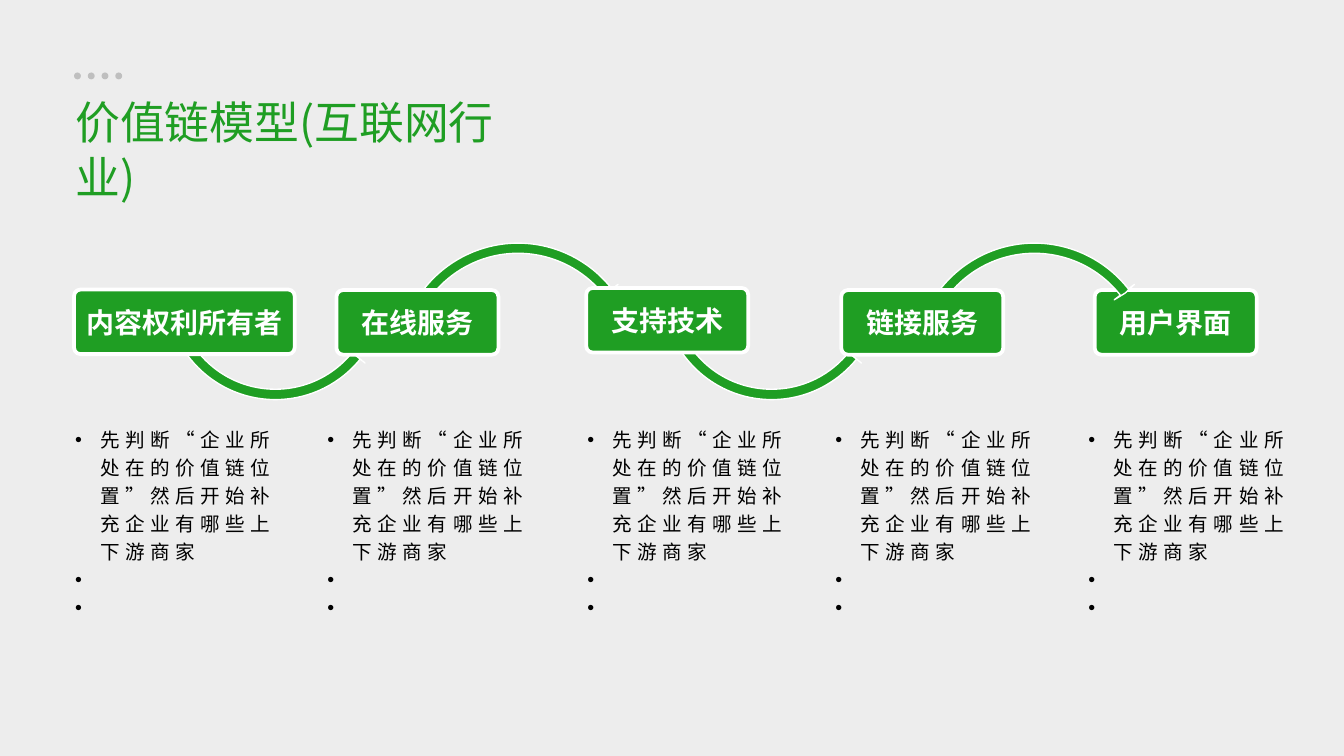
from lxml import etree
from pptx import Presentation
from pptx.dml.color import RGBColor
from pptx.enum.lang import MSO_LANGUAGE_ID
from pptx.enum.shapes import MSO_SHAPE
from pptx.enum.text import MSO_ANCHOR, PP_ALIGN
from pptx.oxml.ns import qn
from pptx.util import Cm, Pt

FONT = "Noto Sans CJK SC"
GREEN, WHITE, GREY = "1F9E23", "FFFFFF", "BFBFBF"


def add_filled(kind, box, fill, line_width=0, adjustments=()):
    """Add a preset shape with a flat fill and an optional white outline."""
    shape = slide.shapes.add_shape(kind, *[Cm(v) for v in box])
    shape.shadow.inherit = False
    shape.fill.solid()
    shape.fill.fore_color.rgb = RGBColor.from_string(fill)
    if line_width:
        shape.line.color.rgb = RGBColor.from_string(WHITE)
        shape.line.width = Pt(line_width)
    else:
        shape.line.fill.background()
    for i, value in enumerate(adjustments):
        shape.adjustments[i] = value
    return shape


def write(paragraph, text, size, color, bold=False):
    """Put one formatted run into a paragraph and return the run properties."""
    run = paragraph.add_run()
    run.text = text
    font = run.font
    font.name, font.size, font.bold = FONT, Pt(size), bold
    font.color.rgb = RGBColor.from_string(color)
    font.language_id = MSO_LANGUAGE_ID.SIMPLIFIED_CHINESE
    props = run._r.get_or_add_rPr()
    etree.SubElement(props, qn("a:ea")).set("typeface", FONT)
    return props


prs = Presentation()
prs.slide_width, prs.slide_height = Cm(25.4), Cm(14.28)
slide = prs.slides.add_slide(prs.slide_layouts[5])
slide.background.fill.solid()
slide.background.fill.fore_color.rgb = RGBColor.from_string("EDEDED")

# Header
for i in range(4):
    add_filled(MSO_SHAPE.OVAL, (1.4 + 0.26 * i, 1.37, 0.13, 0.13), GREY)

title = slide.shapes.title
title.left, title.top, title.width, title.height = Cm(1.17), Cm(1.63), Cm(9.47), Cm(1.27)
title.text_frame.word_wrap = True
title.text_frame.vertical_anchor = MSO_ANCHOR.TOP
heading = title.text_frame.paragraphs[0]
heading.alignment = PP_ALIGN.LEFT
heading.line_spacing = Pt(29.5)
write(heading, "价值链模型(互联网行业)", 24, GREEN)

# Chain: arcs and stages in stacking order
LOWER = (MSO_SHAPE.LEFT_CIRCULAR_ARROW, 3.3, 4.37, (0.045, 0, 23.41, 90.25, 0.05))
UPPER = (MSO_SHAPE.CIRCULAR_ARROW, 4.45, 4.8, (0.04, 0.38, 193.16, 125.76, 0.05))
chain = [
    (LOWER, 12.4),
    (LOWER, 3.02),
    ("内容权利所有者", 1.4, 5.47, 4.17),
    (UPPER, 7.39),
    ("在线服务", 6.36, 5.48, 3.06),
    ("支持技术", 11.08, 5.44, 3.06),
    ("用户界面", 20.69, 5.48, 3.06),
    (UPPER, 17.15),
    ("链接服务", 15.9, 5.48, 3.06),
]
for item, left, *place in chain:
    if not place:
        kind, top, size, adjustments = item
        add_filled(kind, (left, top, size, size), GREEN, 0.75, adjustments)
        continue
    top, width = place
    stage = add_filled(MSO_SHAPE.ROUNDED_RECTANGLE, (left, top, width, 1.22), GREEN, 2, [0.1])
    frame = stage.text_frame
    frame.margin_left = frame.margin_right = Cm(0.18)
    frame.vertical_anchor = MSO_ANCHOR.MIDDLE
    frame.paragraphs[0].alignment = PP_ALIGN.CENTER
    write(frame.paragraphs[0], item, 15, WHITE, bold=True)

# Notes under the stages, each with two bullets left open
bullets = ["先判断“企业所处在的价值链位置”然后开始补充企业有哪些上下游商家", " ", " "]
for left in (1.17, 5.94, 10.85, 15.54, 20.32):
    frame = slide.shapes.add_textbox(Cm(left), Cm(7.87), Cm(4.39), Cm(4.01)).text_frame
    frame.word_wrap = True
    for i, text in enumerate(bullets):
        paragraph = frame.add_paragraph() if i else frame.paragraphs[0]
        paragraph.line_spacing = Pt(15)
        props = paragraph._p.get_or_add_pPr()
        props.set("marL", str(Cm(0.48)))
        props.set("indent", str(-Cm(0.48)))
        etree.SubElement(props, qn("a:buFont")).set("typeface", "Arial")
        etree.SubElement(props, qn("a:buChar")).set("char", "•")
        write(paragraph, text, 10.5, "000000").set("spc", "300")

prs.save("out.pptx")
